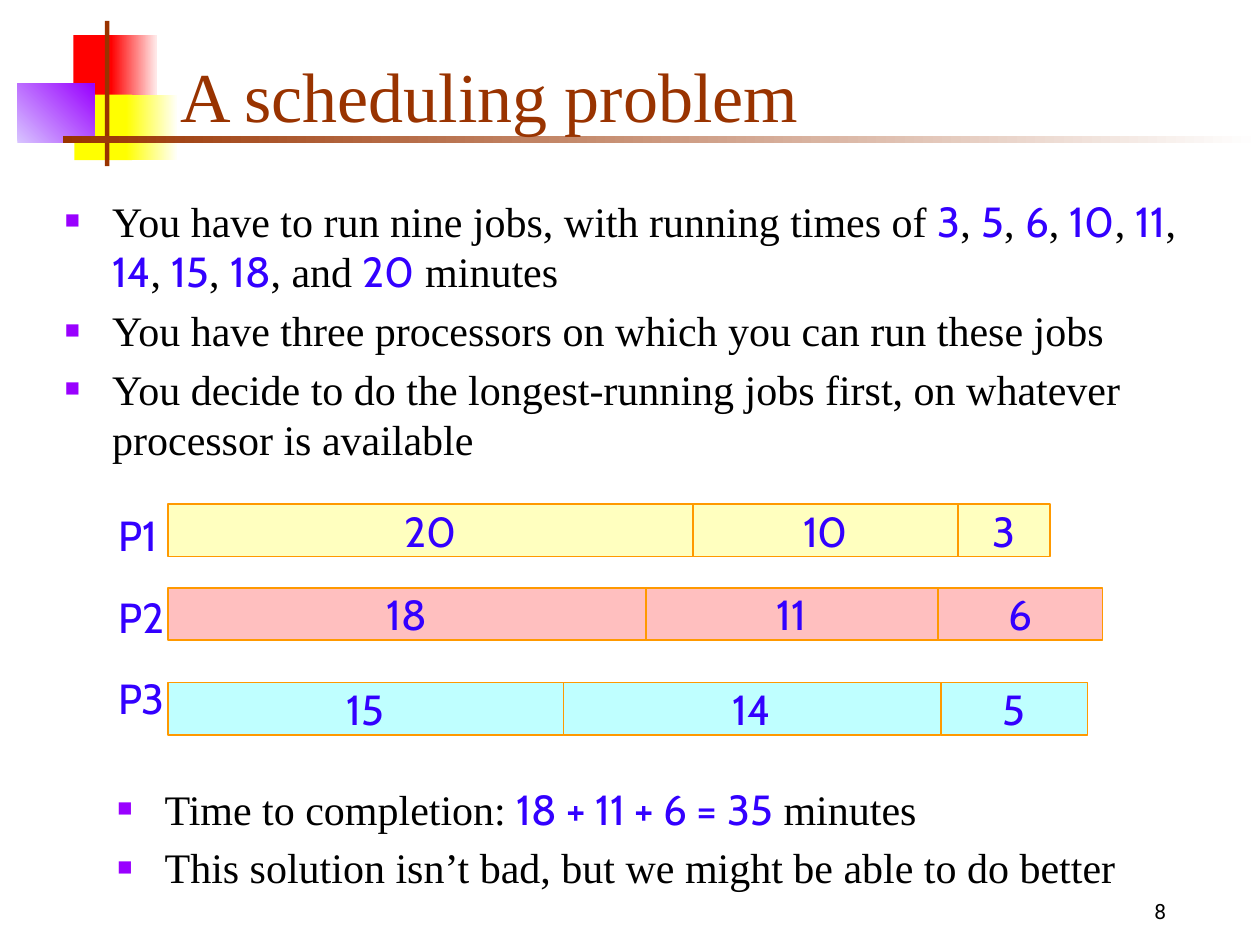
"""Builds the slide on scheduling nine jobs over three processors."""
import itertools

import pptx
import pptx.dml.color
import pptx.enum.shapes
import pptx.enum.text
import pptx.oxml
import pptx.oxml.ns
import pptx.util

Pt = pptx.util.Pt
ALIGN = pptx.enum.text.PP_ALIGN
ANCHOR = pptx.enum.text.MSO_ANCHOR

COLORS = {
    "black": "000000", "white": "FFFFFF", "brown": "993300", "blue": "3300FF",
    "violet": "9900FF", "lilac": "D8C4FF", "red": "FF0000", "blush": "FFEAEA",
    "yellow": "FFFF00", "ivory": "FFFFF8", "orange": "FF9900",
    "cream": "FFFFBF", "pink": "FFBFBF", "aqua": "BFFFFF",
}
STYLES = {
    "title": ({"name": "Times New Roman", "size": Pt(40)}, "brown"),
    "body": ({"name": "Times New Roman", "size": Pt(24)}, "black"),
    "number": ({"name": "Cabin", "size": Pt(24)}, "blue"),
    "page": ({"name": "Roboto", "size": Pt(12)}, "black"),
}
DECORATIONS = [
    ((42, 20, 25, 37.5), ["red"], 0),
    ((63.5, 20, 26, 37.5), ["red", "blush"], 0),
    ((42.5, 54, 33, 37.5), ["yellow"], 0),
    ((72, 54, 29, 37.5), ["yellow", "ivory"], 0),
    ((10, 48, 44, 33.5), ["lilac", "violet"], 45),
    ((60, 12, 2.5, 83), ["brown"], 0),
    ((36, 78, 684, 3.75), ["brown", "white"], 0),
]
SCHEDULE = [
    (288, "cream", [("20", 300), ("10", 151.5), ("3", 52.5)]),
    (336, "pink", [("18", 273), ("11", 167), ("6", 94)]),
    (390, "aqua", [("15", 226), ("14", 215.5), ("5", 84)]),
]
PROBLEM = [
    "You have to run nine jobs, with running times of |3|, |5|, |6|, |10|, |11|, "
    "|14|, |15|, |18|, and |20| minutes",
    "You have three processors on which you can run these jobs",
    "You decide to do the longest-running jobs first, on whatever processor is available",
]
RESULT = [
    "Time to completion: |18 + 11 + 6 = 35| minutes",
    "This solution isn’t bad, but we might be able to do better",
]


def rgb(name):
    """Return the named colour."""
    return pptx.dml.color.RGBColor.from_string(COLORS[name])


def set_attrs(obj, values):
    """Set every attribute in values on obj."""
    for key, value in values.items():
        setattr(obj, key, value)


def add_run(p, text, style):
    """Append a styled run to a paragraph."""
    r = p.add_run()
    r.text = text
    values, color = STYLES[style]
    set_attrs(r.font, values)
    r.font.color.rgb = rgb(color)


def add_rect(s, box, colors, angle=0):
    """Add a plain rectangle with a solid or two-colour gradient fill."""
    sp = s.shapes.add_shape(pptx.enum.shapes.MSO_SHAPE.RECTANGLE, *map(Pt, box))
    sp.shadow.inherit = False
    sp.line.fill.background()
    if len(colors) == 1:
        sp.fill.solid()
        sp.fill.fore_color.rgb = rgb(colors[0])
    else:
        sp.fill.gradient()
        sp.fill.gradient_angle = angle
        for stop, color in zip(sp.fill.gradient_stops, colors):
            stop.color.rgb = rgb(color)
    return sp


def add_job(s, box, color, minutes):
    """Add one job bar labelled with its running time."""
    sp = add_rect(s, box, [color])
    sp.line.color.rgb = rgb("orange")
    sp.line.width = Pt(1)
    tf = sp.text_frame
    set_attrs(tf, {"word_wrap": False, "vertical_anchor": ANCHOR.MIDDLE})
    p = tf.paragraphs[0]
    p.alignment = ALIGN.CENTER
    add_run(p, minutes, "number")


def add_bullet(p):
    """Give a paragraph a hanging square bullet."""
    pPr = p._p.get_or_add_pPr()
    pPr.set("marL", str(Pt(27)))
    pPr.set("indent", str(-Pt(27)))
    ns = pptx.oxml.ns.nsdecls("a")
    for xml in (
        f'<a:buClr {ns}><a:srgbClr val="{COLORS["violet"]}"/></a:buClr>',
        f'<a:buSzPct {ns} val="60000"/>',
        f'<a:buFont {ns} typeface="Times New Roman"/>',
        f'<a:buChar {ns} char="■"/>',
    ):
        pPr.append(pptx.oxml.parse_xml(xml))


def add_text(s, box, lines, styles, gap=0, bullets=False, frame=None, para=None):
    """Add a text box whose runs, split at bars, alternate between styles."""
    tf = s.shapes.add_textbox(*map(Pt, box)).text_frame
    set_attrs(tf, {"word_wrap": True, **(frame or {})})
    for i, line in enumerate(lines):
        p = tf.add_paragraph() if i else tf.paragraphs[0]
        set_attrs(p, para or {})
        if i:
            p.space_before = Pt(gap)
        if bullets:
            add_bullet(p)
        for text, style in zip(line.split("|"), itertools.cycle(styles)):
            add_run(p, text, style)


def add_schedule(s):
    """Lay each processor's jobs end to end and label the rows."""
    for top, color, jobs in SCHEDULE:
        left = 96
        for minutes, width in jobs:
            add_job(s, (left, top, width, 30), color, minutes)
            left += width
    add_text(s, (60.5, 282, 47.5, 139), ["P1", "P2", "P3"], ["number"],
             gap=12, para={"line_spacing": 1.2})


def main():
    """Build and save the slide."""
    prs = pptx.Presentation()
    set_attrs(prs, {"slide_width": Pt(720), "slide_height": Pt(540)})
    s = prs.slides.add_slide(prs.slide_layouts[6])
    for box, colors, angle in DECORATIONS:
        add_rect(s, box, colors, angle)
    add_text(s, (624, 510, 78, 21.5), ["8"], ["page"], para={"alignment": ALIGN.CENTER})
    add_text(s, (96, 24, 613.5, 60), ["A scheduling problem"], ["title"],
             frame={"vertical_anchor": ANCHOR.MIDDLE})
    add_text(s, (30, 108, 675, 166), PROBLEM, ["body", "number"], gap=4.8, bullets=True)
    add_schedule(s)
    add_text(s, (60, 444, 606, 84), RESULT, ["body", "number"], gap=4.8, bullets=True)
    prs.save("out.pptx")


if __name__ == "__main__":
    main()
